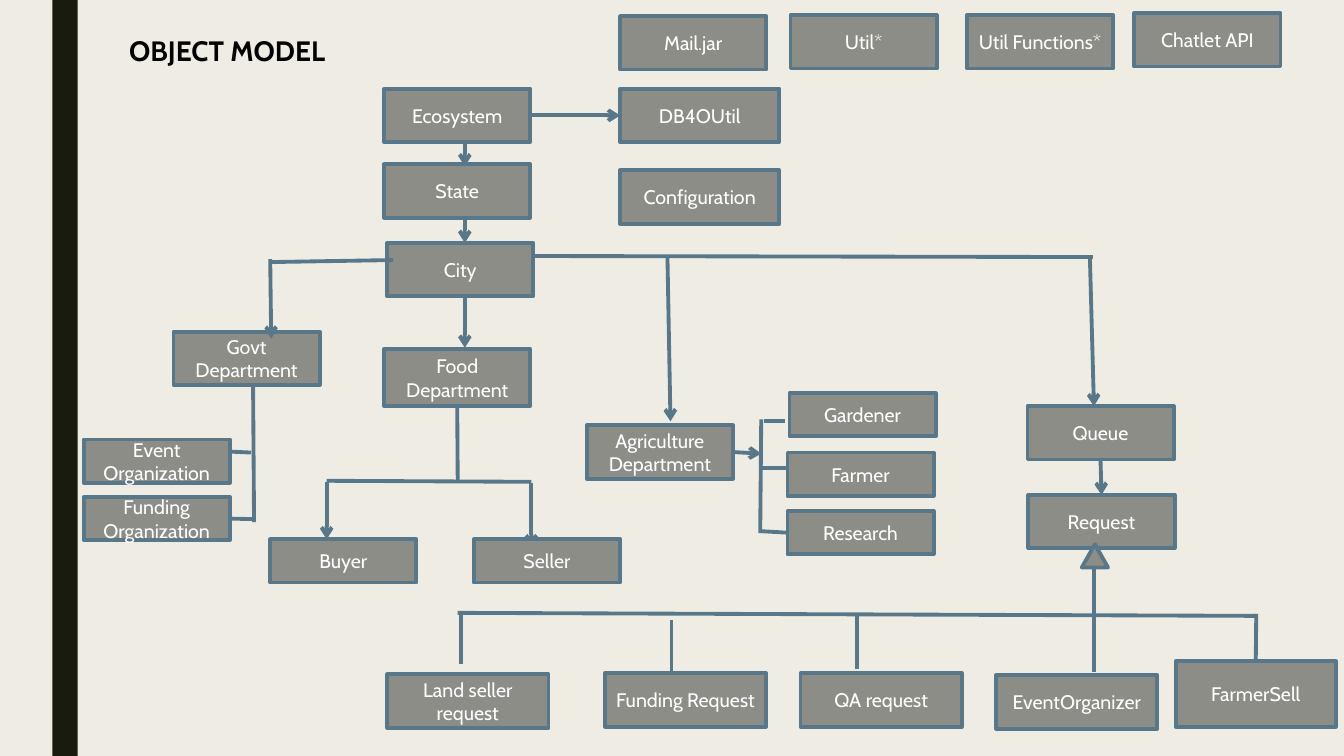
import pptx
import pptx.util
import pptx.dml.color
import pptx.enum.shapes
import pptx.enum.text
import pptx.oxml
import pptx.oxml.ns
from dataclasses import dataclass


@dataclass
class Theme:
    background: str = "EFEDE3"
    band: str = "191B0E"
    box: str = "8C8D86"
    line: str = "58788A"
    label: str = "FFFFFF"
    title: str = "000000"
    font: str = "Cabin"
    label_size: int = 14
    title_size: int = 20
    line_width: float = 2.75


theme = Theme()
color = pptx.dml.color.RGBColor.from_string
shape_types = pptx.enum.shapes.MSO_SHAPE
anchors = pptx.enum.text.MSO_ANCHOR
alignments = pptx.enum.text.PP_ALIGN

presentation = pptx.Presentation()
presentation.slide_width = pptx.util.Inches(13.33)
presentation.slide_height = pptx.util.Inches(7.5)
column = presentation.slide_width / 133.3
row = presentation.slide_height / 75

slide = presentation.slides.add_slide(presentation.slide_layouts[5])
slide.background.fill.solid()
slide.background.fill.fore_color.rgb = color(theme.background)


def add_block(kind, left, top, width, height, fill, outlined=True):
    shape = slide.shapes.add_shape(
        kind, round(left * column), round(top * row), round(width * column), round(height * row))
    shape.shadow.inherit = False
    shape.fill.solid()
    shape.fill.fore_color.rgb = color(fill)
    if outlined:
        shape.line.color.rgb = color(theme.line)
        shape.line.width = pptx.util.Pt(theme.line_width)
    else:
        shape.line.fill.background()
    return shape


def add_line(start, end, arrow=False):
    connector = slide.shapes.add_connector(
        pptx.enum.shapes.MSO_CONNECTOR.STRAIGHT,
        round(start[0] * column), round(start[1] * row), round(end[0] * column), round(end[1] * row))
    connector.line.color.rgb = color(theme.line)
    connector.line.width = pptx.util.Pt(theme.line_width)
    if arrow:
        tail = pptx.oxml.parse_xml(
            f'<a:tailEnd {pptx.oxml.ns.nsdecls("a")} type="arrow"/>')
        connector.line._get_or_add_ln().append(tail)
    effects = pptx.oxml.parse_xml(f'<a:effectLst {pptx.oxml.ns.nsdecls("a")}/>')
    connector._element.spPr.append(effects)
    return connector


add_block(shape_types.RECTANGLE, 5.2, 0, 2.5, 75, theme.band, outlined=False)

title = slide.shapes.title
title.left, title.top = round(11.8 * column), round(2.8 * row)
title.width, title.height = round(21.8 * column), round(4.4 * row)
title.text_frame.word_wrap = False
title.text_frame.auto_size = pptx.enum.text.MSO_AUTO_SIZE.NONE
title.text_frame.vertical_anchor = anchors.MIDDLE
paragraph = title.text_frame.paragraphs[0]
paragraph.alignment = alignments.LEFT
run = paragraph.add_run()
run.text = "OBJECT MODEL"
run.font.name = theme.font
run.font.size = pptx.util.Pt(theme.title_size)
run.font.bold = True
run.font.color.rgb = color(theme.title)

add_line((52.7, 47.9), (52.7, 54.3), arrow=True)

box_groups = {
    (14.5, 5.3): [
        ("Mail.jar", 61.5, 1.6), ("Util*", 78.4, 1.5),
        ("Util Functions*", 95.9, 1.5), ("Chatlet API", 112.5, 1.3),
        ("Ecosystem", 38.1, 8.8), ("State", 38.1, 16.3), ("City", 38.4, 24.1),
        ("Govt Department", 17.2, 32.9), ("Agriculture Department", 58.2, 42.2),
        ("Queue", 101.9, 40.3), ("Request", 102, 49.1)],
    (14.5, 5.7): [("Food Department", 38.1, 34.6)],
    (15.8, 5.3): [("DB4OUtil", 61.5, 8.8), ("Configuration", 61.5, 16.9)],
    (14.5, 4.3): [
        ("Gardener", 78.3, 39), ("Farmer", 78.1, 44.9), ("Research", 78.1, 50.7),
        ("Event Organization", 8.3, 43.6), ("Funding Organization", 8.3, 49.3),
        ("Buyer", 26.8, 53.5), ("Seller", 47, 53.5)],
    (16, 5.3): [
        ("Land seller request", 38.4, 66.9), ("Funding Request", 60, 66.8),
        ("QA request", 79.4, 66.8), ("EventOrganizer", 98.8, 67)],
    (15.9, 6.5): [("FarmerSell", 116.6, 65.6)],
}
boxes = {}
for (width, height), members in box_groups.items():
    for name, left, top in members:
        box = add_block(shape_types.RECTANGLE, left, top, width, height, theme.box)
        box.text_frame.word_wrap = True
        box.text_frame.vertical_anchor = anchors.MIDDLE
        paragraph = box.text_frame.paragraphs[0]
        paragraph.alignment = alignments.CENTER
        run = paragraph.add_run()
        run.text = name
        run.font.name = theme.font
        run.font.size = pptx.util.Pt(theme.label_size)
        run.font.color.rgb = color(theme.label)
        boxes[name] = box

arrows = [
    ((46.1, 14.1), (46.1, 16.5)), ((46.1, 21.7), (46.1, 24.1)),
    ((46.1, 29.6), (46.1, 34.5)), ((66.2, 25.4), (66.5, 41.8)),
    ((26.8, 25.7), (26.9, 33.6)), ((32.4, 47.8), (32.4, 53.5)),
    ((108.1, 25.6), (108.5, 40.3)),
]
for start, end in arrows:
    add_line(start, end, arrow=True)

branches = [
    ((26.8, 26), (39, 25.8)), ((52.9, 25.4), (108.4, 25.5)),
    ((25.1, 38), (25.2, 51.8)), ((22.8, 44.8), (24.9, 44.9)),
    ((32.4, 47.7), (52.7, 47.8)),
    ((75.5, 41.6), (75.4, 52.9)), ((75.8, 41.8), (77.9, 41.8)), ((75.4, 46.4), (78, 46.4)),
    ((45.4, 60.8), (124.6, 61.1)), ((45.7, 60.6), (45.7, 65.9)),
    ((66.6, 61.5), (66.6, 66.8)), ((85, 61.1), (85, 66.4)), ((108.5, 55), (108.5, 66.7)),
]
for start, end in branches:
    add_line(start, end)

TOP, LEFT, BOTTOM, RIGHT = range(4)
ecosystem_link = add_line((52.6, 11.5), (61.5, 11.4), arrow=True)
ecosystem_link.begin_connect(boxes["Ecosystem"], RIGHT)
ecosystem_link.end_connect(boxes["DB4OUtil"], LEFT)
queue_link = add_line((109.1, 45.6), (109.1, 49.1), arrow=True)
queue_link.begin_connect(boxes["Queue"], BOTTOM)
queue_link.end_connect(boxes["Request"], TOP)
agriculture_link = add_line((72.7, 45), (75.5, 45), arrow=True)
agriculture_link.begin_connect(boxes["Agriculture Department"], RIGHT)
food_link = add_line((45.4, 40.3), (45.4, 47.9))
food_link.begin_connect(boxes["Food Department"], BOTTOM)
funding_link = add_line((22.8, 51.5), (25.2, 51.5))
funding_link.begin_connect(boxes["Funding Organization"], RIGHT)
research_link = add_line((75.5, 52.7), (78.1, 52.7))
research_link.end_connect(boxes["Research"], LEFT)
farmer_link = add_line((124.6, 60.9), (124.6, 65.6))
farmer_link.end_connect(boxes["FarmerSell"], TOP)

add_block(shape_types.ISOSCELES_TRIANGLE, 107.3, 54, 2.6, 2.3, theme.box)

presentation.save("out.pptx")
